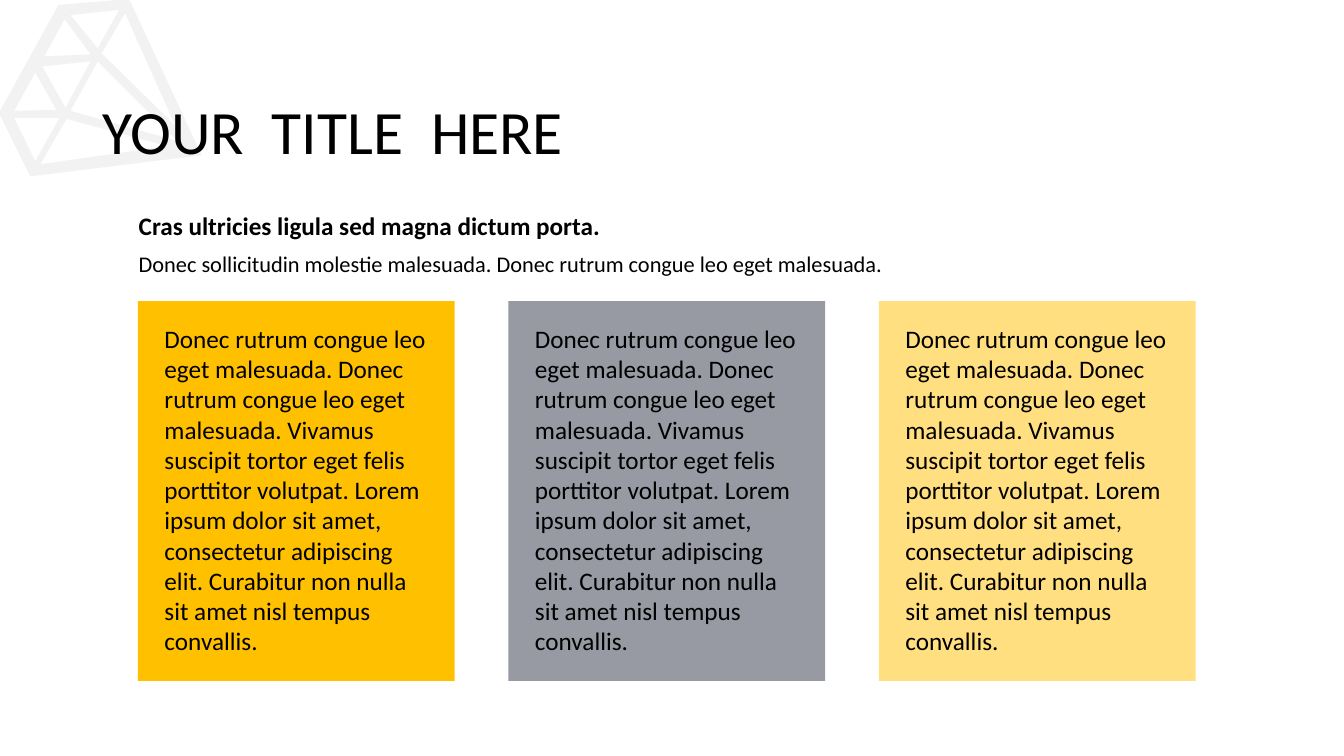
from lxml import etree
from pptx import Presentation
from pptx.dml.color import RGBColor
from pptx.enum.shapes import MSO_SHAPE as SHAPE
from pptx.enum.text import MSO_ANCHOR as ANCHOR, MSO_AUTO_SIZE as AUTO
from pptx.oxml.ns import qn
from pptx.util import Pt

COLORS = {"text": "000000", "amber": "FFC000", "navy": "303749", "pale": "F2F2F2"}

CARD_TEXT = (
    "Donec rutrum congue leo eget malesuada. Donec rutrum congue leo eget malesuada. "
    "Vivamus suscipit tortor eget felis porttitor volutpat. Lorem ipsum dolor sit amet, "
    "consectetur adipiscing elit. Curabitur non nulla sit amet nisl tempus convallis."
)

# Wireframe gem in tenths of a point: the outline, then its triangular holes
GEM = [
    [(418, 36), (-7, 806), (216, 1260), (1440, 1109), (922, -7)],
    [(850, 72), (698, 346), (504, 108)],
    [(461, 137), (648, 389), (317, 403)],
    [(648, 439), (468, 770), (302, 475)],
    [(252, 518), (403, 785), (101, 792)],
    [(101, 842), (425, 842), (252, 1152)],
    [(288, 1174), (475, 850), (1195, 1044)],
    [(504, 792), (698, 439), (1267, 1008)],
    [(1253, 900), (727, 382), (893, 94)],
]


class Deck:
    font = "Calibri"

    def __init__(self, slide):
        self.shapes = slide.shapes

    def paint(self, sp, color, alpha=100):
        sp.shadow.inherit = False
        sp.fill.solid()
        sp.fill.fore_color.rgb = RGBColor.from_string(COLORS[color])
        sp.line.fill.background()
        if alpha < 100:
            clr = sp._element.spPr.find(qn("a:solidFill"))[0]
            etree.SubElement(clr, qn("a:alpha")).set("val", str(alpha * 1000))

    def rect(self, x, y, w, h, color, alpha):
        sp = self.shapes.add_shape(SHAPE.RECTANGLE, Pt(x), Pt(y), Pt(w), Pt(h))
        self.paint(sp, color, alpha)

    def outline(self, contours, color):
        builder = self.shapes.build_freeform(*contours[0][0], scale=Pt(0.1))
        builder.add_line_segments(contours[0][1:], close=True)
        for first, *rest in contours[1:]:
            builder.move_to(*first)
            builder.add_line_segments(rest, close=True)
        self.paint(builder.convert_to_shape(), color)

    def text(self, x, y, w, h, text, size, bold=False, wrap=True, auto=AUTO.SHAPE_TO_FIT_TEXT):
        tf = self.shapes.add_textbox(Pt(x), Pt(y), Pt(w), Pt(h)).text_frame
        tf.word_wrap = wrap
        tf.auto_size = auto
        tf.text = text
        font = tf.paragraphs[0].runs[0].font
        font.name, font.size, font.bold = self.font, Pt(size), bold
        font.color.rgb = RGBColor.from_string(COLORS["text"])
        return tf


def main():
    prs = Presentation()
    prs.slide_width, prs.slide_height = Pt(960), Pt(540)
    s = Deck(prs.slides.add_slide(prs.slide_layouts[6]))

    # Corner decoration
    s.outline(GEM, "pale")

    # Title and introduction
    tf = s.text(66, 28.75, 828, 95, "YOUR  TITLE  HERE", 44, auto=AUTO.NONE)
    tf.vertical_anchor = ANCHOR.BOTTOM
    tf.paragraphs[0].line_spacing = 0.9
    s.text(92, 146.5, 347, 29, "Cras ultricies ligula sed magna dictum porta.", 18,
           bold=True, wrap=False)
    s.text(92, 175, 582, 26.6,
           "Donec sollicitudin molestie malesuada. Donec rutrum congue leo eget malesuada.", 16)

    # Three equal cards
    left, top, width, height, step = 98.6, 215.1, 226.2, 271.4, 264.6
    pad = 11.8
    for i, (color, alpha) in enumerate([("amber", 100), ("navy", 50), ("amber", 50)]):
        x = left + i * step
        s.rect(x, top, width, height, color, alpha)
        s.text(x + pad, top + 12.2, width - 2 * pad, 247, CARD_TEXT, 18)

    prs.save("out.pptx")


if __name__ == "__main__":
    main()
